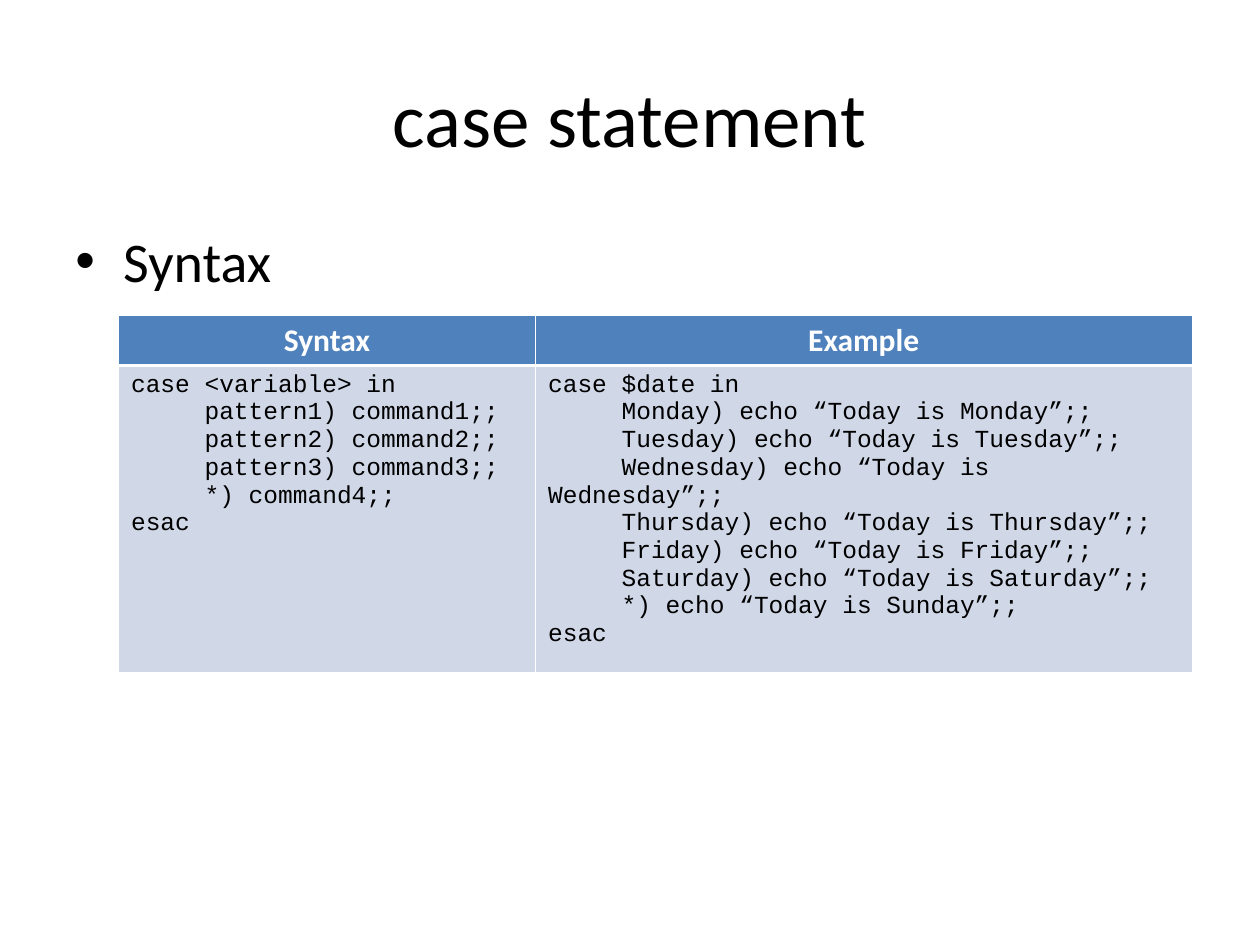
from lxml import etree
from pptx import Presentation
from pptx.dml.color import RGBColor
from pptx.enum.text import MSO_ANCHOR, PP_ALIGN
from pptx.oxml.ns import qn
from pptx.util import Inches, Pt

LEFT, CENTER = PP_ALIGN.LEFT, PP_ALIGN.CENTER
MIDDLE = MSO_ANCHOR.MIDDLE
SANS, MONO = "Calibri", "Courier New"
BLACK, WHITE, BLUE, PALE = "000000", "FFFFFF", "4F81BD", "D0D8E8"
THIN, THICK = 0.45, 1.47

# Content: the indented lines sit between the first and last of each block
TITLE = "case statement"
BULLET = "Syntax"
DAYS = ["Monday", "Tuesday", "Wednesday", "Thursday", "Friday", "Saturday"]
HEADS = ["Syntax", "Example"]
CODE = [
    ["case <variable> in",
     *[f"pattern{n}) command{n};;" for n in (1, 2, 3)],
     "*) command4;;",
     "esac"],
    ["case $date in",
     *[f"{day}) echo “Today is {day}”;;" for day in DAYS],
     "*) echo “Today is Sunday”;;",
     "esac"],
]

# Layout in inches
WIDE, HIGH = 10, 7.5
EDGE = 0.05 * WIDE
COLS, ROWS = [3.31, 5.21], [0.4, 2.3]
HANG = 0.38
CODE_SIZE = 14
STEP = Pt(5 * 0.6 * CODE_SIZE)  # five monospaced characters


def color(code):
    return RGBColor.from_string(code)


def style(frame, size, face, tint, align=LEFT, bold=False):
    for para in frame.paragraphs:
        para.alignment = align
        for run in para.runs:
            font = run.font
            font.size, font.name, font.bold = Pt(size), face, bold
            font.color.rgb = color(tint)


def border(cell, side, width):
    line = etree.SubElement(cell._tc.get_or_add_tcPr(), qn("a:ln" + side),
                            w=str(int(Pt(width))))
    fill = etree.SubElement(line, qn("a:solidFill"))
    etree.SubElement(fill, qn("a:srgbClr"), val=WHITE)


def paint(cell, fill, top, bottom):
    for side, width in zip("LRTB", (THIN, THIN, top, bottom)):
        border(cell, side, width)
    cell.fill.solid()
    cell.fill.fore_color.rgb = color(fill)


deck = Presentation()
deck.slide_width, deck.slide_height = Inches(WIDE), Inches(HIGH)
slide = deck.slides.add_slide(deck.slide_layouts[5])

# Title
title = slide.shapes.title
title.left, title.top = Inches(EDGE), Inches(0.04 * HIGH)
title.width, title.height = Inches(WIDE - 2 * EDGE), Inches(1.25)
title.text_frame.text = TITLE
title.text_frame.vertical_anchor = MIDDLE
style(title.text_frame, 44, SANS, BLACK, CENTER)

# Bullet
box = slide.shapes.add_textbox(Inches(EDGE), Inches(1.75),
                               Inches(WIDE - 2 * EDGE), Inches(0.66 * HIGH))
body = box.text_frame
body.word_wrap = True
body.text = BULLET
style(body, 32, SANS, BLACK)
para = body.paragraphs[0]
para.space_before = Pt(8)
props = para._p.get_or_add_pPr()
props.set("marL", str(Inches(HANG)))
props.set("indent", str(-Inches(HANG)))
etree.SubElement(props, qn("a:buFont"), typeface="Arial")
etree.SubElement(props, qn("a:buChar"), char="•")

# Table
table = slide.shapes.add_table(2, 2, Inches(0.94), Inches(HIGH / 3),
                               Inches(sum(COLS)), Inches(sum(ROWS))).table
for row, high in zip(table.rows, ROWS):
    row.height = Inches(high)
for col, wide in enumerate(COLS):
    table.columns[col].width = Inches(wide)
    head, cell = table.cell(0, col), table.cell(1, col)
    head.text_frame.text = HEADS[col]
    style(head.text_frame, 18, SANS, WHITE, CENTER, True)
    paint(head, BLUE, THIN, THICK)
    cell.text_frame.text = "\n".join(CODE[col])
    style(cell.text_frame, CODE_SIZE, MONO, BLACK)
    paint(cell, PALE, THICK, THIN)
    for para in cell.text_frame.paragraphs[1:-1]:
        para._p.get_or_add_pPr().set("indent", str(STEP))

deck.save("out.pptx")
